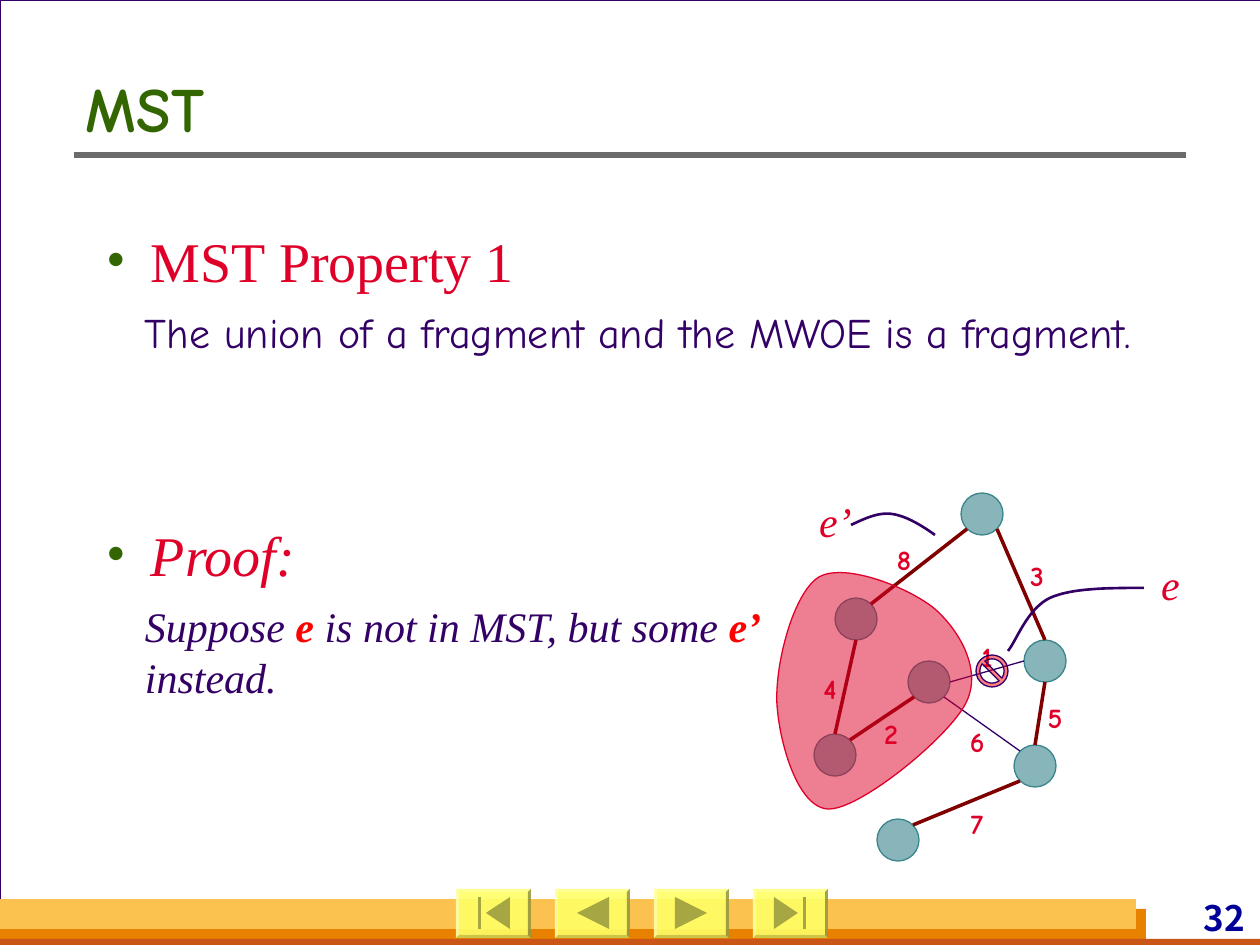
import lxml.etree
import pptx
import pptx.dml.color
import pptx.enum.shapes
import pptx.enum.text
import pptx.oxml.ns
import pptx.util

PX = 914400 / 126
SHAPE = pptx.enum.shapes.MSO_SHAPE
ALIGN = pptx.enum.text.PP_ALIGN
ANCHOR = pptx.enum.text.MSO_ANCHOR
qn = pptx.oxml.ns.qn

COMIC, SERIF, SANS = "Comic Neue", "Times New Roman", "Noto Sans CJK SC"
RED, PURPLE, GREEN = "DF0029", "330066", "336600"
TEAL, MAROON, BRIGHT_RED = "39858B", "800000", "FF0000"


def emu(px):
    return round(px * PX)


def rgb(hex_colour):
    return pptx.dml.color.RGBColor.from_string(hex_colour)


def paint(shape, fill=None, line=None, weight=0.75, opacity=100):
    shape.shadow.inherit = False
    if fill:
        shape.fill.solid()
        shape.fill.fore_color.rgb = rgb(fill)
        if opacity < 100:
            colour = shape.fill._xPr.find(".//" + qn("a:srgbClr"))
            lxml.etree.SubElement(colour, qn("a:alpha"), val=str(opacity * 1000))
    else:
        shape.fill.background()
    if line:
        shape.line.color.rgb = rgb(line)
        shape.line.width = pptx.util.Pt(weight)
    else:
        shape.line.fill.background()
    return shape


def add_preset(slide, kind, left, top, width, height, **style):
    shape = slide.shapes.add_shape(kind, emu(left), emu(top), emu(width), emu(height))
    return paint(shape, **style)


def add_line(slide, start, end, colour, weight):
    line = slide.shapes.add_connector(
        pptx.enum.shapes.MSO_CONNECTOR.STRAIGHT, *map(emu, (*start, *end)))
    line.line.color.rgb = rgb(colour)
    line.line.width = pptx.util.Pt(weight)
    lxml.etree.SubElement(line._element.spPr, qn("a:effectLst"))


def add_outline(slide, points, closed=True, **style):
    corners = [(emu(x), emu(y)) for x, y in points]
    builder = slide.shapes.build_freeform(*corners[0], scale=1.0)
    builder.add_line_segments(corners[1:], close=closed)
    return paint(builder.convert_to_shape(), **style)


def bezier_points(knots, steps=24):
    """Sample a chain of cubic curves: a start, then three points per curve."""
    points = [knots[0]]
    for first in range(0, len(knots) - 1, 3):
        curve = knots[first:first + 4]
        for step in range(1, steps + 1):
            t = step / steps
            weights = ((1 - t) ** 3, 3 * t * (1 - t) ** 2, 3 * t * t * (1 - t), t ** 3)
            points.append(tuple(sum(w * p[axis] for w, p in zip(weights, curve))
                                for axis in (0, 1)))
    return points


def add_text(slide, text, left, top, width, height, size=24, font=COMIC, colour=PURPLE,
             bold=False, italic=False, align=ALIGN.LEFT, anchor=ANCHOR.TOP,
             wrap=True, bullet=None, inset=(12, 6)):
    """Place text; a list holds plain strings and (string, colour) bold accents."""
    box = slide.shapes.add_textbox(emu(left), emu(top), emu(width), emu(height))
    frame = box.text_frame
    frame.word_wrap = wrap
    frame.vertical_anchor = anchor
    frame.margin_left = frame.margin_right = emu(inset[0])
    frame.margin_top = frame.margin_bottom = emu(inset[1])
    paragraph = frame.paragraphs[0]
    paragraph.alignment = align
    if bullet:
        properties = paragraph._p.get_or_add_pPr()
        properties.set("marL", str(emu(44)))
        properties.set("indent", str(-emu(44)))
        bullet_colour = lxml.etree.SubElement(properties, qn("a:buClr"))
        lxml.etree.SubElement(bullet_colour, qn("a:srgbClr"), val=bullet)
        lxml.etree.SubElement(properties, qn("a:buFont"), typeface=font)
        lxml.etree.SubElement(properties, qn("a:buChar"), char="•")
    for part in [text] if isinstance(text, str) else text:
        words, accent = (part, None) if isinstance(part, str) else part
        run = paragraph.add_run()
        run.text = words
        run.font.name = font
        run.font.size = pptx.util.Pt(size)
        run.font.bold = bold or accent is not None
        run.font.italic = italic
        run.font.color.rgb = rgb(accent or colour)


def add_nav_button(slide, left, top, forward, to_end):
    """Draw a bevelled button with an arrow, and a stop bar if it goes to an end."""
    width, height = 75, 49
    button = add_preset(slide, SHAPE.BEVEL, left, top, width, height,
                        fill="FFFF66", opacity=90)
    button.adjustments[0] = 0.06

    def icon(points):
        add_outline(slide, [(left + (x if forward else width - x), top + y)
                            for x, y in points], fill="A6A642")

    tip = 45 if to_end else 53
    icon([(21, 8), (tip, 24), (21, 40)])
    if to_end:
        icon([(50, 8), (53, 8), (53, 40), (50, 40)])


def add_frame(slide, width, height):
    add_preset(slide, SHAPE.RECTANGLE, 0, 0, width + 1, height, fill="FFFFFF", line=PURPLE)
    add_preset(slide, SHAPE.RECTANGLE, 0, height - 36, 1146, 36, fill="E88000")
    add_preset(slide, SHAPE.RECTANGLE, 0, height - 6, width, 6, fill="C95616")
    add_preset(slide, SHAPE.RECTANGLE, 0, height - 46, 1136, 30, fill="FCC24F")
    add_text(slide, "32", 1116, height - 49, 134, 42, size=20, font=SANS,
             colour="000099", bold=True, align=ALIGN.RIGHT, inset=(5, 0))
    add_line(slide, (74, 155), (1186, 155), "6B6B6B", 3)
    buttons = [(False, True), (False, False), (True, False), (True, True)]
    for place, (forward, to_end) in enumerate(buttons):
        add_nav_button(slide, 456 + 99 * place, height - 56, forward, to_end)


def add_point(slide, left, top, heading, statement, statement_width, font, italic):
    """Place a bulleted heading with its statement below."""
    add_text(slide, heading, left, top, 766, 81, size=32, font=SERIF, colour=RED,
             italic=italic, bullet=GREEN)
    add_text(slide, statement, left + 38, top + 81, statement_width, 63,
             font=font, italic=italic)


def add_graph(slide, left, top):
    """Draw the weighted graph, the fragment and the crossed-out edge."""
    def at(x, y):
        return left + x, top + y

    radius, diagonal = 21, 15
    nodes = {"inner": (153, 190), "top": (206, 22), "lower": (259, 274),
             "right": (269, 169), "bottom": (122, 348), "upper": (80, 127),
             "left": (59, 263)}
    ports = {"n": (0, -radius), "s": (0, radius), "e": (radius, 0), "w": (-radius, 0),
             "ne": (diagonal, -diagonal), "nw": (-diagonal, -diagonal),
             "se": (diagonal, diagonal), "sw": (-diagonal, diagonal)}
    tree, other = (MAROON, 2), (PURPLE, 0.75)
    edges = [("upper", "ne", "top", "sw", tree, "8", (128, 67)),
             ("inner", "se", "lower", "nw", other, "6", (201, 249)),
             ("inner", "e", "right", "w", other, "1", (211, 164)),
             ("right", "n", "top", "se", tree, "3", (261, 83)),
             ("inner", "sw", "left", "ne", tree, "2", (115, 241)),
             ("lower", "n", "right", "s", tree, "5", (279, 225)),
             ("lower", "sw", "bottom", "ne", tree, "7", (201, 331)),
             ("left", "n", "upper", "s", tree, "4", (54, 196))]

    def port(node, side):
        return at(*(a + b for a, b in zip(nodes[node], ports[side])))

    for x, y in nodes.values():
        add_preset(slide, SHAPE.OVAL, *at(x - radius, y - radius), 2 * radius,
                   2 * radius, fill=TEAL, opacity=60, line=TEAL)
    for start, start_side, end, end_side, style, _, _ in edges:
        add_line(slide, port(start, start_side), port(end, end_side), *style)
    centred = dict(align=ALIGN.CENTER, anchor=ANCHOR.MIDDLE, wrap=False, colour=RED,
                   inset=(0, 6))
    for *_, weight, (x, y) in edges:
        add_text(slide, weight, *at(x - 16, y - 26), 32, 53, size=16, bold=True, **centred)

    fragment = [(43, 85), (69, 70), (134, 96), (159, 117), (183, 138), (207, 178),
                (190, 211), (173, 245), (85, 317), (53, 317), (22, 317), (3, 250),
                (1, 211), (-1, 173), (17, 101), (43, 85)]
    add_outline(slide, bezier_points([at(*knot) for knot in fragment]),
                fill=RED, opacity=50, line=RED)
    ban = add_preset(slide, SHAPE.NO_SYMBOL, *at(200, 163), 32, 32,
                     fill=BRIGHT_RED, opacity=50, line=PURPLE)
    ban.adjustments[0] = 0.12

    callouts = [("e’", (33, 2), [(75, 33), (88, 27), (102, 20), (116, 22),
                                 (130, 24), (145, 33), (159, 43)]),
                ("e", (368, 65), [(368, 96), (333, 96), (296, 96), (274, 106),
                                  (251, 117), (240, 150), (232, 159)])]
    for name, place, leader in callouts:
        add_text(slide, name, *at(*place), 53, 53, font=SERIF, italic=True, **centred)
        add_outline(slide, bezier_points([at(*knot) for knot in leader]),
                    closed=False, line=PURPLE, weight=1.5)


def main():
    deck = pptx.Presentation()
    deck.slide_width, deck.slide_height = emu(1260), emu(945)
    slide = deck.slides.add_slide(deck.slide_layouts[6])
    slide.background.fill.solid()
    slide.background.fill.fore_color.rgb = rgb("D8DADA")
    add_frame(slide, 1260, 945)
    add_text(slide, "MST", 74, 64, 1124, 88, size=36, colour=GREEN, bold=True)
    add_point(slide, 95, 220, "MST Property 1",
              "The union of a fragment and the MWOE is a fragment.", 1106, COMIC, False)
    add_point(slide, 95, 514, "Proof:",
              ["Suppose ", ("e", BRIGHT_RED), " is not in MST, but some ",
               ("e’ ", BRIGHT_RED), "instead."], 665, SERIF, True)
    add_graph(slide, 776, 492)
    deck.save("out.pptx")


if __name__ == "__main__":
    main()
